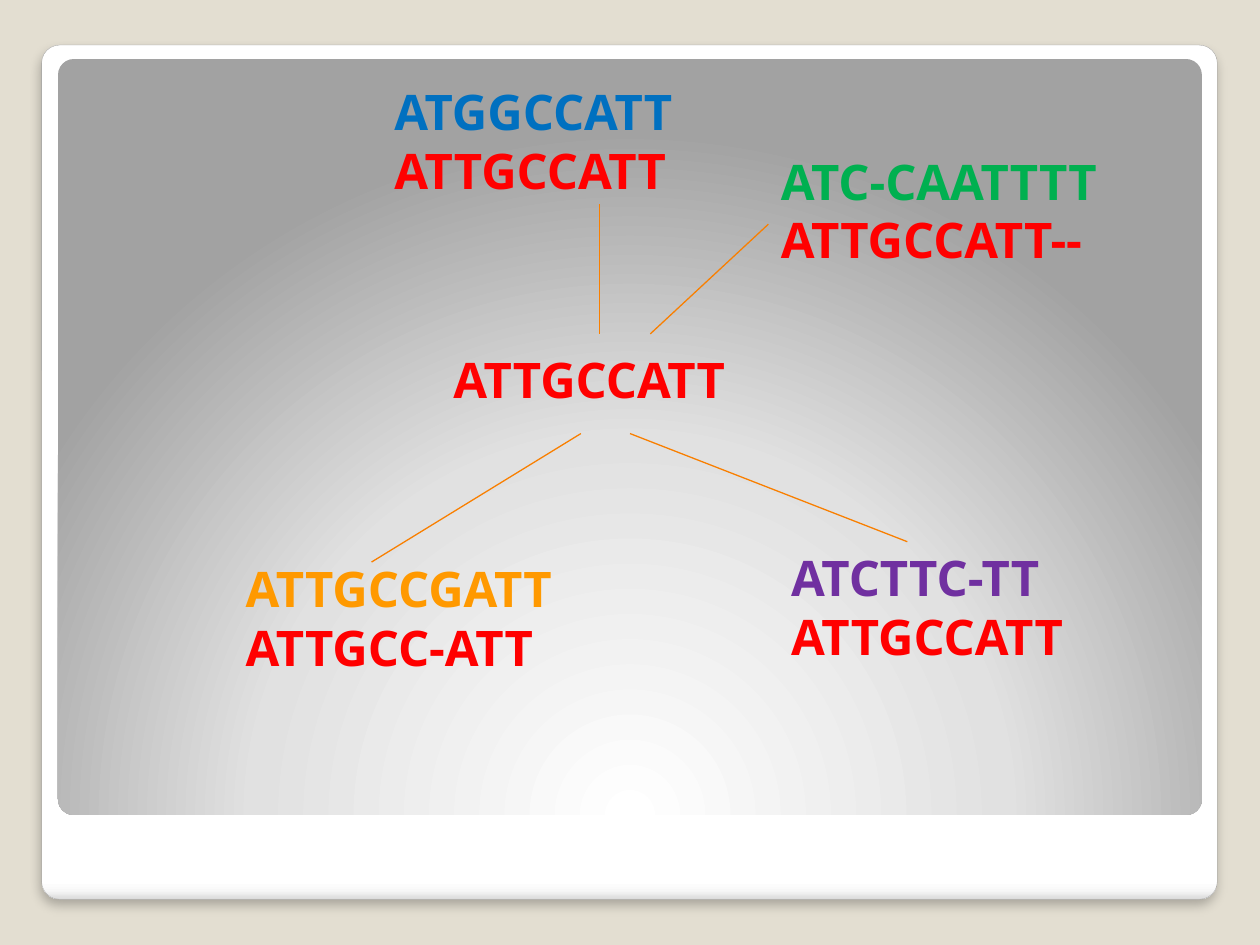
"""Build a slide of pairwise sequence alignments around a central sequence."""
from pptx import Presentation
from pptx import util as u
from pptx.dml.color import RGBColor
from pptx.enum import shapes, text
from pptx.oxml import parse_xml
from pptx.oxml.ns import nsdecls
from lxml import etree

Cm, Pt = u.Cm, u.Pt
BEIGE = RGBColor(0xE3, 0xDE, 0xD1)
GRAY = RGBColor(0xA4, 0xA4, 0xA4)
LINE = RGBColor(0xF9, 0x7F, 0x00)
RED = RGBColor(0xFF, 0x00, 0x00)
GREEN = RGBColor(0x00, 0xB0, 0x50)
BLUE = RGBColor(0x00, 0x70, 0xC0)
ORANGE = RGBColor(0xFF, 0x99, 0x00)
PURPLE = RGBColor(0x70, 0x30, 0xA0)


def add_panel(s, box, stops, shade):
    """Add a rounded rectangle with a gradient and no shadow."""
    sp = s.shapes.add_shape(shapes.MSO_SHAPE.ROUNDED_RECTANGLE, *map(Cm, box))
    sp.adjustments[0] = 0.021
    sp.shadow.inherit = False
    sp.line.fill.background()
    sp.fill.solid()
    gs = "".join(f'<a:gs pos="{pos * 1000}"><a:srgbClr val="{color}"/></a:gs>'
                 for pos, color in stops)
    solid = sp._element.spPr.find("{*}solidFill")
    solid.getparent().replace(solid, parse_xml(
        f'<a:gradFill {nsdecls("a")} rotWithShape="1">'
        f'<a:gsLst>{gs}</a:gsLst>{shade}</a:gradFill>'))
    return sp


prs = Presentation()
prs.slide_width, prs.slide_height = Cm(25.4), Cm(19.05)
s = prs.slides.add_slide(prs.slide_layouts[6])
s.background.fill.solid()
s.background.fill.fore_color.rgb = BEIGE

frame = add_panel(s, (0.84, 0.91, 23.7, 17.22),
                  [(0, "FFFFFF"), (98, "FFFFFF"), (99, "F7F7F7"), (100, "DADADA")],
                  '<a:lin ang="5400000" scaled="0"/>')
frame.line.color.rgb = GRAY
frame.line.width = Pt(0.16)
frame._element.spPr.find("{*}effectLst").append(parse_xml(
    f'<a:outerShdw {nsdecls("a")} blurRad="{Pt(6)}" dist="{Pt(4)}" dir="5400000" '
    'algn="t" rotWithShape="0"><a:srgbClr val="000000">'
    '<a:alpha val="25000"/></a:srgbClr></a:outerShdw>'))

add_panel(s, (1.17, 1.19, 23.06, 15.24),
          [(0, "FFFFFF"), (55, "E1E1E1"), (100, "A2A2A2")],
          '<a:path path="circle"><a:fillToRect l="50000" t="175000" '
          'r="50000" b="-75000"/></a:path>')

for ends in [(12.09, 4.11, 12.09, 6.73), (13.11, 6.73, 15.49, 4.52),
             (12.7, 8.74, 18.29, 10.92), (11.71, 8.74, 7.49, 11.33)]:
    line = s.shapes.add_connector(shapes.MSO_CONNECTOR.STRAIGHT, *map(Cm, ends))
    line.line.color.rgb = LINE
    line.line.width = Pt(0.75)
    etree.SubElement(line._element.spPr, f"{{{line._element.nsmap['a']}}}effectLst")

alignments = [
    (8.89, 6.93, 7.04, [("ATTGCCATT", RED)]),
    (15.49, 2.92, 8.18, [("ATC-CAATTTT", GREEN), ("ATTGCCATT--", RED)]),
    (7.7, 1.52, 7.16, [("ATGGCCATT", BLUE), ("ATTGCCATT", RED)]),
    (4.7, 11.13, 7.85, [("ATTGCCGATT", ORANGE), ("ATTGCC-ATT", RED)]),
    (15.7, 10.92, 7.04, [("ATCTTC-TT", PURPLE), ("ATTGCCATT", RED)]),
]
for left, top, width, sequences in alignments:
    height = 0.25 + 1.2 * len(sequences)
    sp = s.shapes.add_textbox(Cm(left), Cm(top), Cm(width), Cm(height))
    tf = sp.text_frame
    tf.word_wrap = False
    tf.auto_size = text.MSO_AUTO_SIZE.SHAPE_TO_FIT_TEXT
    tf.text = "\n".join(sequence for sequence, color in sequences)
    for p, (sequence, color) in zip(tf.paragraphs, sequences):
        p.font.name = "Open Sans"
        p.font.size = Pt(28)
        p.font.bold = True
        p.font.color.rgb = color

prs.save("out.pptx")
